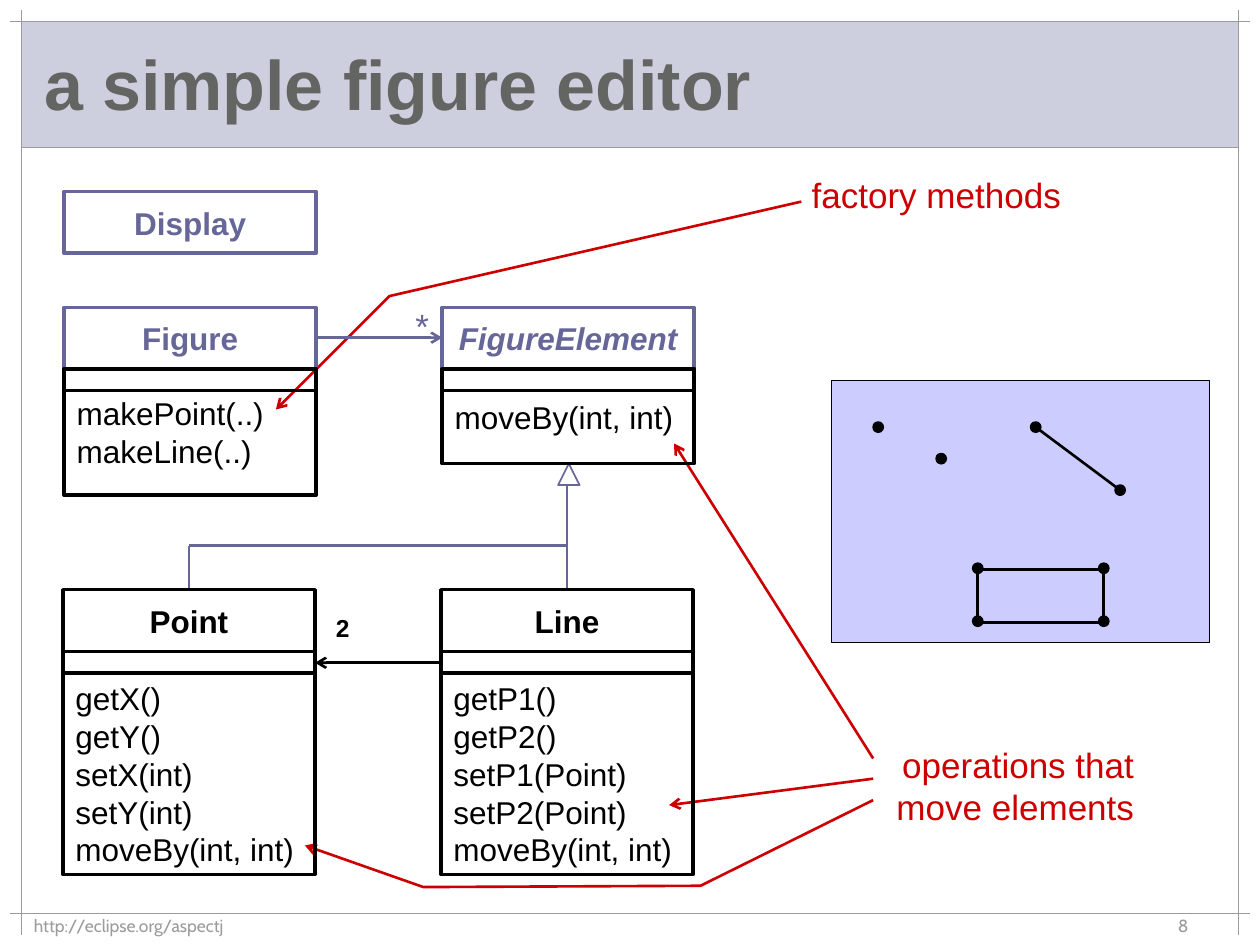
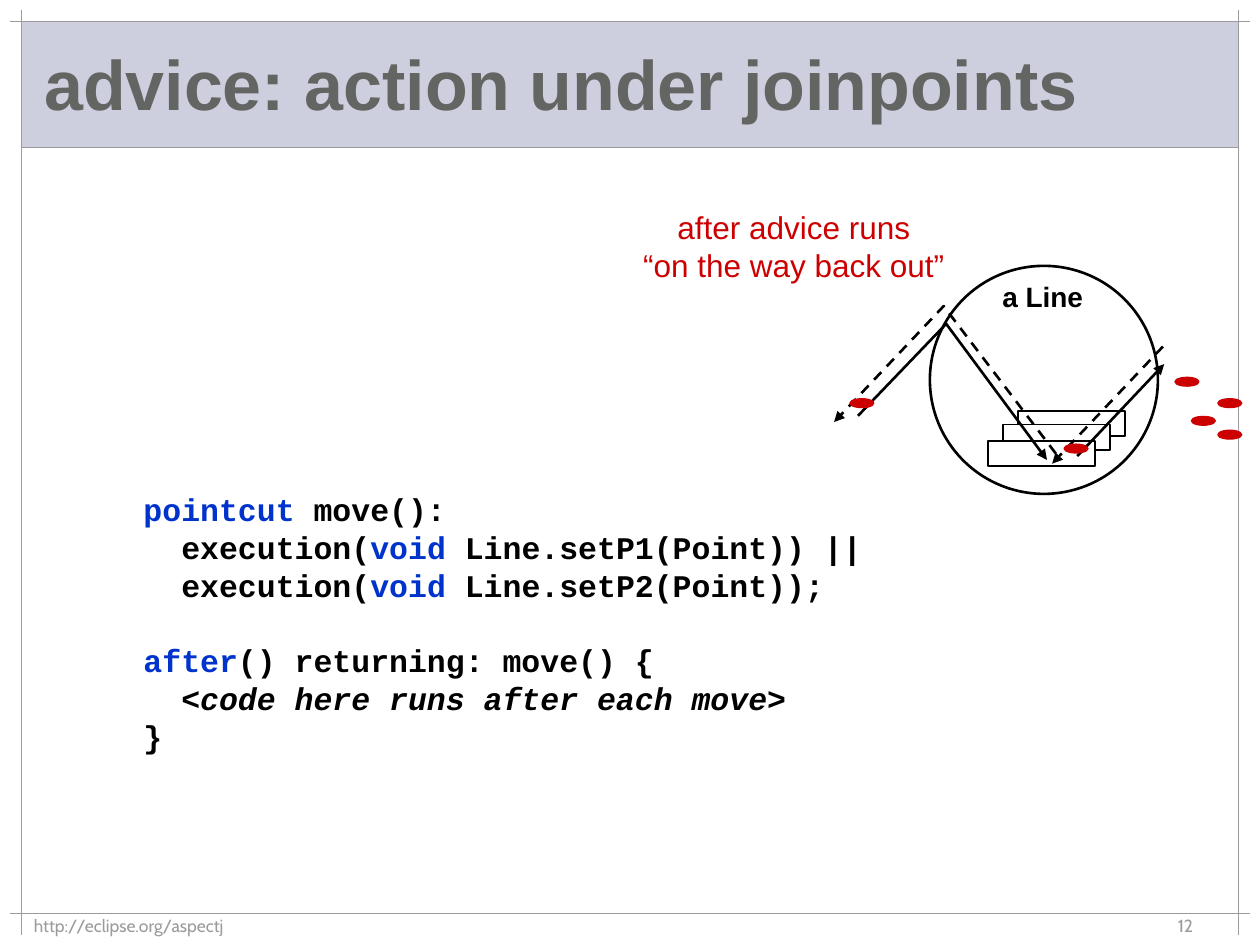
from itertools import product
from lxml.etree import SubElement
from pptx import Presentation
from pptx.dml.color import RGBColor
from pptx.enum.dml import MSO_LINE
from pptx.enum.shapes import MSO_CONNECTOR, MSO_SHAPE, PP_PLACEHOLDER
from pptx.enum.text import MSO_ANCHOR, MSO_AUTO_SIZE, PP_ALIGN
from pptx.oxml.ns import qn
from pptx.util import Inches, Pt

COLS, ROWS = 10, 7.5
EDGE, OUT = 0.17, 0.08
HEAD, FOOT = 1.17, 7.25
CARD, NAME, SLOT = 2, 0.49, 0.17
BLACK = RGBColor(0, 0, 0)
WHITE = RGBColor(255, 255, 255)
GRAY = RGBColor(0x9C, 0x9A, 0x9C)
SLATE = RGBColor(0x63, 0x65, 0x63)
BAND = RGBColor(0xCE, 0xCF, 0xDE)
LILAC = RGBColor(0xCC, 0xCC, 0xFF)
PURPLE = RGBColor(0x66, 0x66, 0x99)
RED = RGBColor(0xCC, 0, 0)
BLUE = RGBColor(0, 0x33, 0xCC)


def grid(*cells):
    """Turn columns or rows of the one-inch grid into lengths."""
    return [Inches(cell) for cell in cells]


def add_run(para, text, size, hue, bold=False, italic=False, face="Arial"):
    """Add one formatted run to a paragraph."""
    run = para.add_run()
    run.text = text
    font = run.font
    font.name, font.size = face, Pt(size)
    font.bold, font.italic = bold, italic
    font.color.rgb = hue


def write(shape, lines, size, hue, align=PP_ALIGN.LEFT, **style):
    """Write one paragraph for each line."""
    frame = shape.text_frame
    frame.word_wrap = True
    for index, line in enumerate(lines):
        para = frame.add_paragraph() if index else frame.paragraphs[0]
        para.alignment = align
        para.line_spacing = Pt(size * 1.2)
        add_run(para, line, size, hue, **style)


def label(slide, spot, lines, size, hue, align=PP_ALIGN.CENTER, **style):
    """Add a text box with its lines."""
    box = slide.shapes.add_textbox(*grid(*spot))
    write(box, lines, size, hue, align, **style)


def shape(slide, kind, spot, fill=None, line=None, width=1):
    """Add a preset shape with plain fill and outline."""
    item = slide.shapes.add_shape(kind, *grid(*spot))
    item.shadow.inherit = False
    if fill is None:
        item.fill.background()
    else:
        item.fill.solid()
        item.fill.fore_color.rgb = fill
    if line is None:
        item.line.fill.background()
    else:
        item.line.color.rgb = line
        item.line.width = Pt(width)
    return item


def oval(slide, mid, wide, high, hue, width=1):
    """Add a filled oval around a middle point."""
    x, y = mid
    spot = (x - wide / 2, y - high / 2, wide, high)
    shape(slide, MSO_SHAPE.OVAL, spot, hue, hue, width)


def stroke(slide, points, hue, width=1.5, tip=None, dash=False):
    """Draw a line through the points, with a tip at the last one."""
    spots = [grid(*point) for point in points]
    if len(spots) == 2:
        item = slide.shapes.add_connector(MSO_CONNECTOR.STRAIGHT, *spots[0], *spots[1])
    else:
        maker = slide.shapes.build_freeform(*spots[0])
        maker.add_line_segments(spots[1:], close=False)
        item = maker.convert_to_shape()
        item.fill.background()
    item.line.color.rgb = hue
    item.line.width = Pt(width)
    if dash:
        item.line.dash_style = MSO_LINE.DASH
    props = item.element.spPr
    if tip:
        SubElement(props.get_or_add_ln(), qn("a:tailEnd"), type=tip)
    SubElement(props, qn("a:effectLst"))
    return item


def frame(slide, layout):
    """Give the layout its title band and ruled border."""
    for holder in list(layout.placeholders):
        if holder.placeholder_format.type != PP_PLACEHOLDER.TITLE:
            holder.element.getparent().remove(holder.element)
    right, low = COLS - EDGE, ROWS - OUT
    rules = [((x, OUT), (x, low)) for x in (EDGE, right)]
    rules += [((x, y), (COLS - x, y)) for x, y in ((OUT, EDGE), (EDGE, HEAD), (OUT, FOOT))]
    parts = [shape(slide, MSO_SHAPE.RECTANGLE, (EDGE, EDGE, right - EDGE, HEAD - EDGE), BAND)]
    parts += [stroke(slide, rule, GRAY, 1) for rule in rules]
    for part in parts:
        layout.shapes.element.append(part.element)


def head(slide, text):
    """Place and format the slide title."""
    title = slide.shapes.title
    title.left, title.top, title.width, title.height = grid(0.25, 0.25, 9.5, 0.92)
    body = title.text_frame
    body.auto_size = MSO_AUTO_SIZE.NONE
    body.vertical_anchor = MSO_ANCHOR.MIDDLE
    para = body.paragraphs[0]
    para.alignment = PP_ALIGN.LEFT
    para.line_spacing = 0.85
    add_run(para, text, 40, SLATE, bold=True)


def foot(slide, number):
    """Write the web address and the slide number."""
    for x, wide, text in ((EDGE, 5.92, "http://eclipse.org/aspectj"), (9.25, 0.67, number)):
        label(slide, (x, 7.21, wide, 0.25), [text], 10, GRAY, PP_ALIGN.LEFT, face="Cabin")


def card(slide, x, y, name, hue, ops=(), gap=0, high=0, italic=False):
    """Draw a class box with its name, slot and operations."""
    box = shape(slide, MSO_SHAPE.RECTANGLE, (x, y, CARD, NAME), None, hue, 2)
    write(box, [name], 18, hue, PP_ALIGN.CENTER, bold=True, italic=italic)
    if ops:
        top = y + NAME
        body = shape(slide, MSO_SHAPE.RECTANGLE, (x, top + gap, CARD, high), None, BLACK, 2)
        write(body, ops, 18, BLACK)
        shape(slide, MSO_SHAPE.RECTANGLE, (x, top, CARD, SLOT), None, BLACK, 2)


def canvas(slide):
    """Draw the figure made of points and lines."""
    shape(slide, MSO_SHAPE.RECTANGLE, (6.6, 3.02, 3, 2.08), LILAC, BLACK)
    ends = [(8.22, 3.39), (8.89, 3.89)]
    stroke(slide, ends, BLACK)
    shape(slide, MSO_SHAPE.RECTANGLE, (7.76, 4.52, 1, 0.42), None, BLACK, 1.5)
    corners = product((7.76, 8.76), (4.51, 4.93))
    for mid in [(6.97, 3.39), (7.47, 3.64), *ends, *corners]:
        oval(slide, mid, 0.08, 0.08, BLACK)


def notes(slide):
    """Draw the red remarks with their arrows."""
    for points in (
        [(6.93, 6.02), (5.35, 3.52)],
        [(6.93, 6.35), (5.56, 7.03), (3.36, 7.04), (2.42, 6.71)],
        [(6.93, 6.18), (5.31, 6.39)],
        [(6.36, 1.6), (3.09, 2.35), (2.19, 3.25)],
    ):
        stroke(slide, points, RED, tip="arrow")
    for spot, text in (
        ((6.85, 5.85, 2.25, 0.77), "operations that move elements"),
        ((6.27, 1.33, 2.25, 0.44), "factory methods"),
    ):
        label(slide, spot, [text], 20, RED, PP_ALIGN.RIGHT)


def model(slide):
    """Draw the class boxes and the links between them."""
    stroke(slide, [(2.51, 2.68), (3.51, 2.68)], PURPLE, tip="arrow")
    label(slide, (3.1, 2.37, 0.5, 0.44), ["*"], 20, PURPLE)
    stroke(slide, [(3.5, 5.26), (2.5, 5.26)], BLACK, tip="arrow")
    label(slide, (2.47, 4.82, 0.5, 0.34), ["2"], 14, BLACK, bold=True)
    for start, end in (
        ((1.5, 4.67), (1.5, 4.33)),
        ((1.5, 4.33), (4.5, 4.33)),
        ((4.5, 4.67), (4.5, 3.84)),
    ):
        stroke(slide, [start, end], PURPLE)
    shape(slide, MSO_SHAPE.ISOSCELES_TRIANGLE, (4.43, 3.68, 0.17, 0.17), WHITE, PURPLE)
    card(slide, 0.51, 1.52, "Display", PURPLE)
    card(slide, 0.51, 2.44, "Figure", PURPLE, ["makePoint(..)", "makeLine(..)"], high=1)
    card(slide, 3.51, 2.44, "FigureElement", PURPLE, ["moveBy(int, int)"], high=0.75, italic=True)
    move = "moveBy(int, int)"
    card(slide, 0.5, 4.68, "Point", BLACK,
         ["getX()", "getY()", "setX(int)", "setY(int)", move], SLOT, 1.6)
    card(slide, 3.5, 4.68, "Line", BLACK,
         ["getP1()", "getP2()", "setP1(Point)", "setP2(Point)", move], SLOT, 1.6)


def code(slide):
    """Write the advice code with coloured keywords."""
    rows = [
        [("pointcut", BLUE), (" move():", BLACK)],
        [("  execution(", BLACK), ("void ", BLUE), ("Line.setP1(Point)) ||", BLACK)],
        [("  execution(", BLACK), ("void ", BLUE), ("Line.setP2(Point));", BLACK)],
        [("after", BLUE), ("() returning: move() {", BLACK)],
        [("  <code here runs after each move>", BLACK)],
        [("}", BLACK)],
    ]
    body = slide.shapes.add_textbox(*grid(1.04, 3.84, 6.35, 2.2)).text_frame
    body.word_wrap = True
    for index, row in enumerate(rows):
        para = body.add_paragraph() if index else body.paragraphs[0]
        para.line_spacing = Pt(21.6)
        if row[0][0] == "after":
            para.space_before = Pt(21.6)
        for text, hue in row:
            add_run(para, text, 18, hue, True, "<" in text, "Courier New")


def trace(slide):
    """Draw the calls that pass through a line object."""
    for x, y in ((8.08, 3.26), (7.96, 3.37), (7.84, 3.5)):
        shape(slide, MSO_SHAPE.RECTANGLE, (x, y, 0.85, 0.2), WHITE, BLACK)
    shape(slide, MSO_SHAPE.OVAL, (7.38, 2.11, 1.81, 1.81), None, BLACK, 1.5)
    label(slide, (7.78, 2.17, 0.99, 0.37), ["a Line"], 16, BLACK, bold=True)
    for points, dash in (
        ([(8.38, 3.6), (7.49, 2.43), (6.62, 3.35)], True),
        ([(6.81, 3.3), (7.51, 2.57), (8.31, 3.65)], False),
        ([(9.23, 2.75), (8.35, 3.68)], True),
        ([(8.55, 3.62), (9.24, 2.89)], False),
    ):
        stroke(slide, points, BLACK, tip="triangle", dash=dash)
    label(slide, (4.8, 1.6, 3, 0.7), ["after advice runs", "“on the way back out”"], 18, RED)
    for mid in ((6.84, 3.2), (8.54, 3.56), (9.55, 3.34), (9.76, 3.45), (9.42, 3.03), (9.76, 3.2)):
        oval(slide, mid, 0.19, 0.07, RED, 0.75)


def main():
    """Build both slides and save them."""
    deck = Presentation()
    deck.slide_width, deck.slide_height = grid(COLS, ROWS)
    layout = deck.slide_layouts[5]
    pages = (
        ("a simple figure editor", "8", (canvas, notes, model)),
        ("advice: action under joinpoints", "12", (code, trace)),
    )
    for index, (title, number, parts) in enumerate(pages):
        slide = deck.slides.add_slide(layout)
        if index == 0:
            frame(slide, layout)
        head(slide, title)
        for part in parts:
            part(slide)
        foot(slide, number)
    deck.save("out.pptx")


if __name__ == "__main__":
    main()
